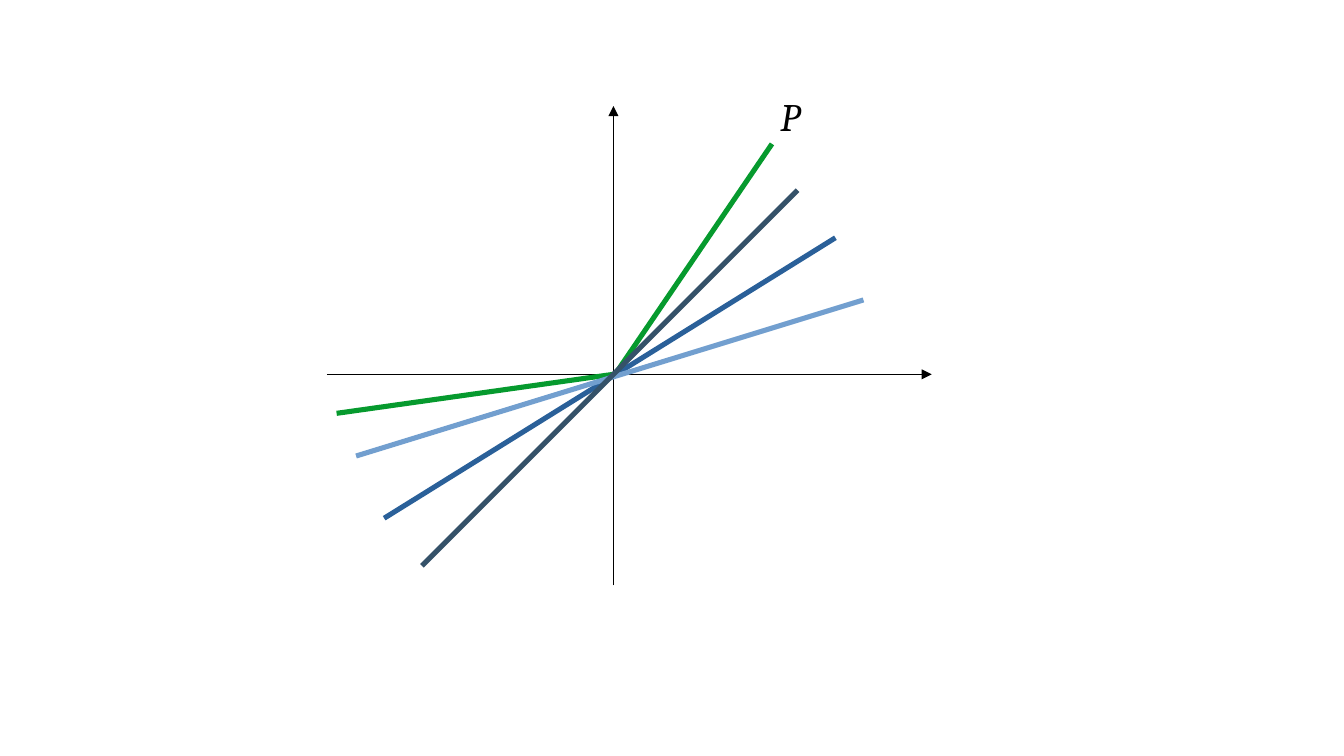
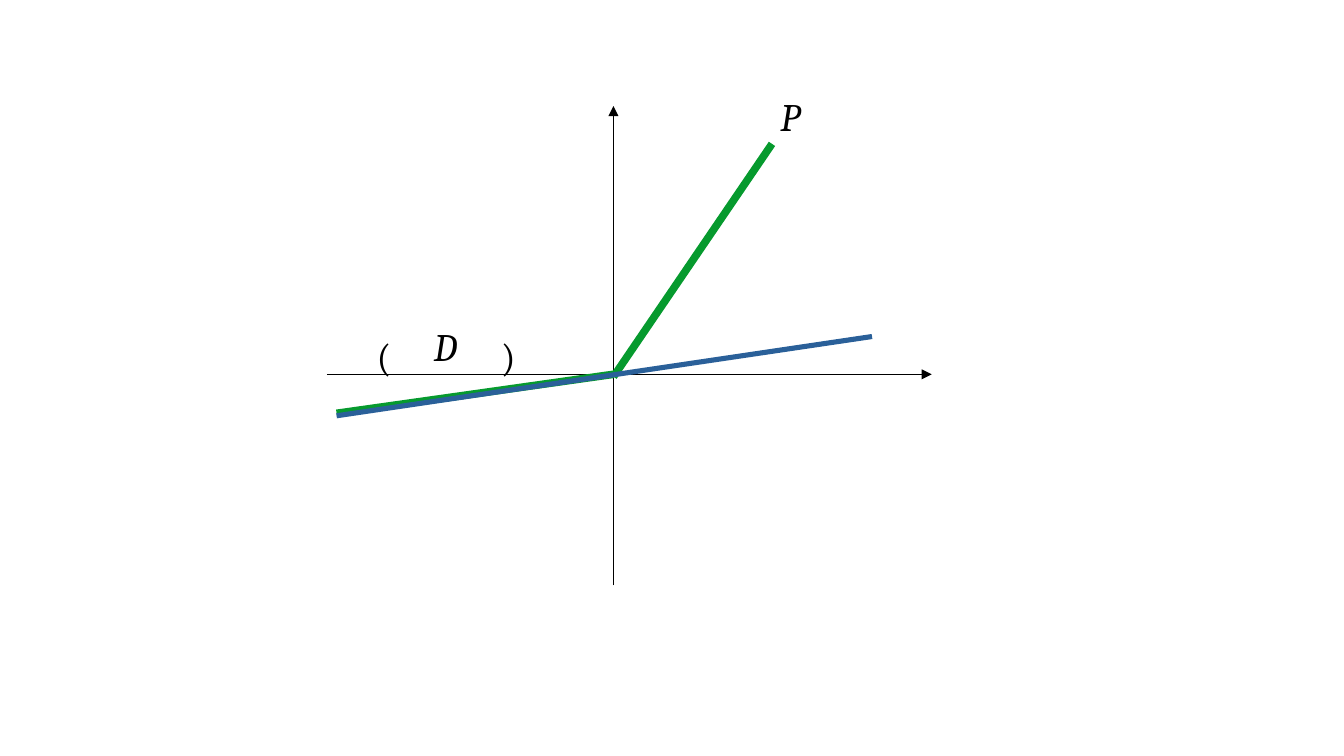
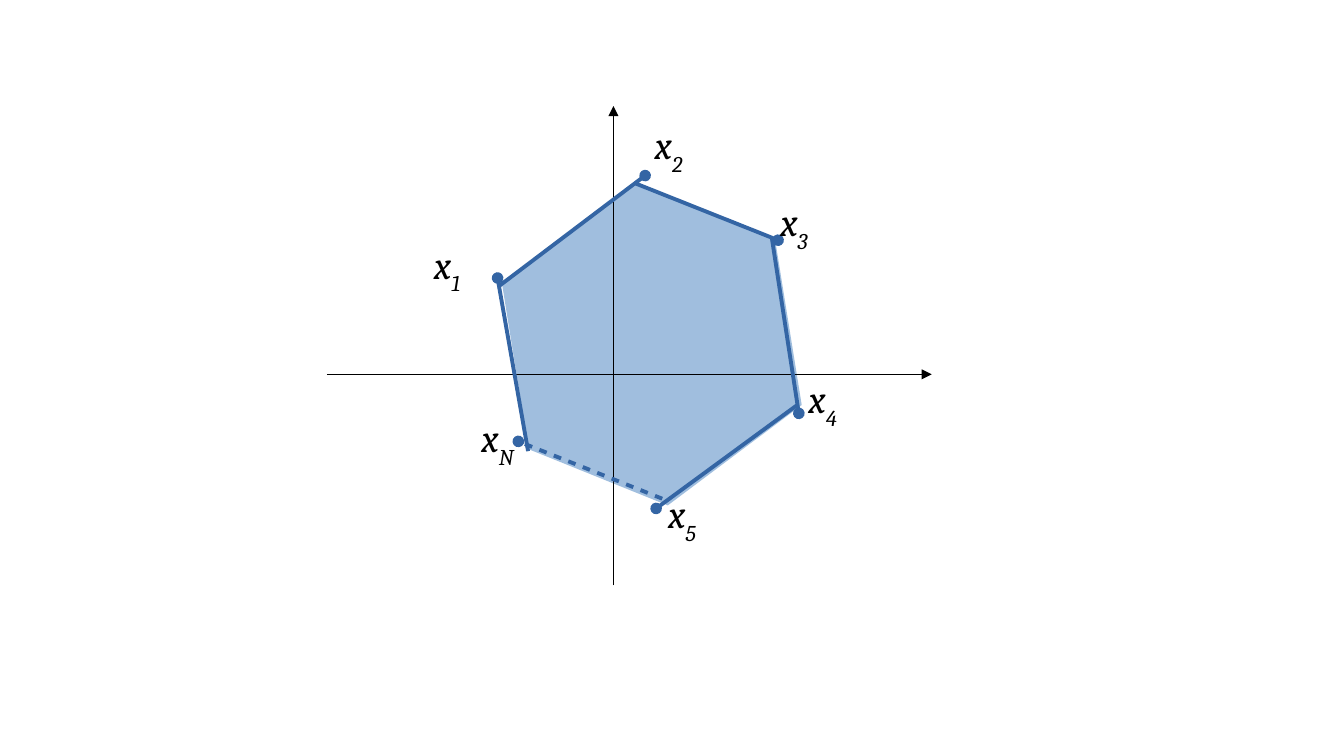
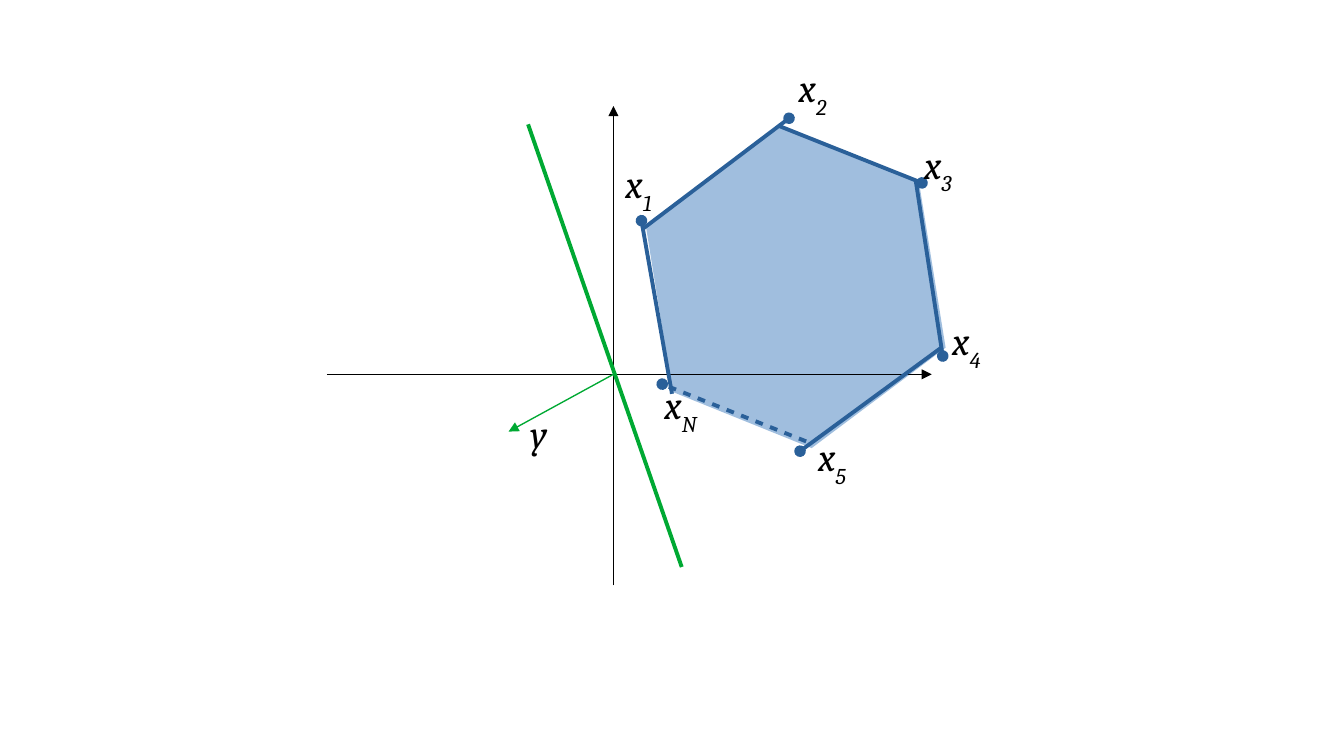
from lxml.etree import SubElement
from pptx import Presentation
from pptx.dml.color import RGBColor
from pptx.enum.shapes import MSO_CONNECTOR, MSO_SHAPE
from pptx.enum.text import MSO_AUTO_SIZE
from pptx.oxml.ns import qn
from pptx.util import Emu, Pt

# Shared style: 100 px to the inch
PX = 9144
SLIDE_W, SLIDE_H = 1102, 620
FONT, FONT_PT = "Cambria", 23
BLACK, GREEN, BRIGHT_GREEN = "000000", "069A2E", "00A933"
NAVY, BLUE, SKY, SLATE = "2A6099", "3465A4", "729FCF", "355269"
EDGE_PT = 2.3
AXES = [((503, 480), (503, 87)), ((268, 307), (764, 307))]

# Content: lines are (start, end, colour, points), labels are (text, x, y)
PRIMAL = [((503, 309), (633, 118)), ((276, 339), (503, 307))]
P_LABEL = ("P", 630, 71)

FAN_LINES = [
    ((315, 425), (685, 195), NAVY, 3),
    ((292, 374), (708, 246), SKY, 3),
    ((346, 464), (654, 156), SLATE, 3),
]
DUAL_LINE = ((276, 341), (715, 276), NAVY, 3)
D_LABEL = ("D", 346, 260)
BRACKETS = [(")", 401, 268), ("(", 299, 268)]

HEXAGON = (402, 165, 265, 235)
EDGES = [
    ((410, 234), (529, 144)),
    ((520, 150), (638, 197)),
    ((633, 196), (655, 339)),
    ((654, 332), (538, 417)),
    ((543, 409), (425, 362)),
    ((433, 370), (408, 228)),
]
DASHED_EDGE = 4
HEXAGON_SLIDES = [
    {
        "shift": (0, 0),
        "color": BLUE,
        "labels": [("1", 346, 192), ("2", 527, 94), ("3", 630, 157),
                   ("N", 385, 334), ("4", 653, 302), ("5", 538, 397)],
    },
    {
        "shift": (118, -47),
        "color": NAVY,
        "labels": [("1", 503, 126), ("2", 645, 47), ("3", 748, 110),
                   ("N", 535, 307), ("4", 771, 255), ("5", 661, 350)],
    },
]
SEPARATOR = ((433, 102), (559, 465), BRIGHT_GREEN, EDGE_PT)
NORMAL = ((503, 307), (417, 354), BRIGHT_GREEN, 0.79)
Y_LABEL = ("y", 425, 331)


def px(n):
    return Emu(n * PX)


def rgb(color):
    return RGBColor.from_string(color)


def add_line(s, start, end, color, points, tail=None, dashed=False):
    sp = s.shapes.add_connector(MSO_CONNECTOR.STRAIGHT, *map(px, start + end))
    sp.line.color.rgb = rgb(color)
    sp.line.width = Pt(points)
    ln = sp.line._get_or_add_ln()
    if dashed:
        dash = SubElement(ln, qn("a:custDash"))
        SubElement(dash, qn("a:ds"), d="200000", sp="200000")
    if tail:
        SubElement(ln, qn("a:tailEnd"), type=tail)
    SubElement(sp._element.spPr, qn("a:effectLst"))


def add_label(s, text, x, y, sub="", italic=True, width=40, height=63):
    tf = s.shapes.add_textbox(px(x), px(y), px(width), px(height)).text_frame
    tf.word_wrap = True
    tf.auto_size = MSO_AUTO_SIZE.SHAPE_TO_FIT_TEXT
    p = tf.paragraphs[0]
    for part in filter(None, (text, sub)):
        r = p.add_run()
        r.text = part
        r.font.name = FONT
        r.font.size = Pt(FONT_PT)
        r.font.italic = italic
        r.font.color.rgb = rgb(BLACK)
    if sub:
        r.font._element.set("baseline", "-33000")


def add_axes(s):
    for start, end in AXES:
        add_line(s, start, end, BLACK, 0.5, "triangle")


def add_primal(s, points):
    for start, end in PRIMAL:
        add_line(s, start, end, GREEN, points)
    add_label(s, *P_LABEL)


def add_hexagon(s, dx, dy):
    x, y, w, h = HEXAGON
    sp = s.shapes.add_shape(MSO_SHAPE.HEXAGON, px(x + dx), px(y + dy), px(w), px(h))
    sp.adjustments[0] = 0.302
    sp.adjustments[1] = 1.155
    sp.rotation = 22
    sp.shadow.inherit = False
    sp.line.fill.background()
    sp.fill.solid()
    sp.fill.fore_color.rgb = rgb(SKY)
    color = sp._element.spPr.find(qn("a:solidFill"))[0]
    SubElement(color, qn("a:alpha"), val="67000")


def add_hexagon_slide(prs, shift, color, labels):
    s = new_slide(prs)
    dx, dy = shift
    add_hexagon(s, dx, dy)
    add_axes(s)
    for i, edge in enumerate(EDGES):
        start, end = [(x + dx, y + dy) for x, y in edge]
        add_line(s, start, end, color, EDGE_PT, "oval", i == DASHED_EDGE)
    for sub, x, y in labels:
        add_label(s, "x", x, y, sub, width=56, height=107)
    return s


def new_slide(prs):
    return prs.slides.add_slide(prs.slide_layouts[6])


def main():
    prs = Presentation()
    prs.slide_width, prs.slide_height = px(SLIDE_W), px(SLIDE_H)

    # Slide 1: fan of lines below P
    s = new_slide(prs)
    add_axes(s)
    add_primal(s, 3)
    for line in FAN_LINES:
        add_line(s, *line)

    # Slide 2: P with the line D
    s = new_slide(prs)
    add_axes(s)
    add_primal(s, 4.5)
    add_line(s, *DUAL_LINE)
    add_label(s, *D_LABEL)
    for bracket in BRACKETS:
        add_label(s, *bracket, italic=False)

    # Slides 3 and 4: convex hull around and beside the origin
    for hexagon in HEXAGON_SLIDES:
        s = add_hexagon_slide(prs, **hexagon)

    # Slide 4: separating line and its normal
    add_line(s, *SEPARATOR)
    add_line(s, *NORMAL, tail="triangle")
    add_label(s, *Y_LABEL, width=56, height=107)

    prs.save("out.pptx")


if __name__ == "__main__":
    main()
